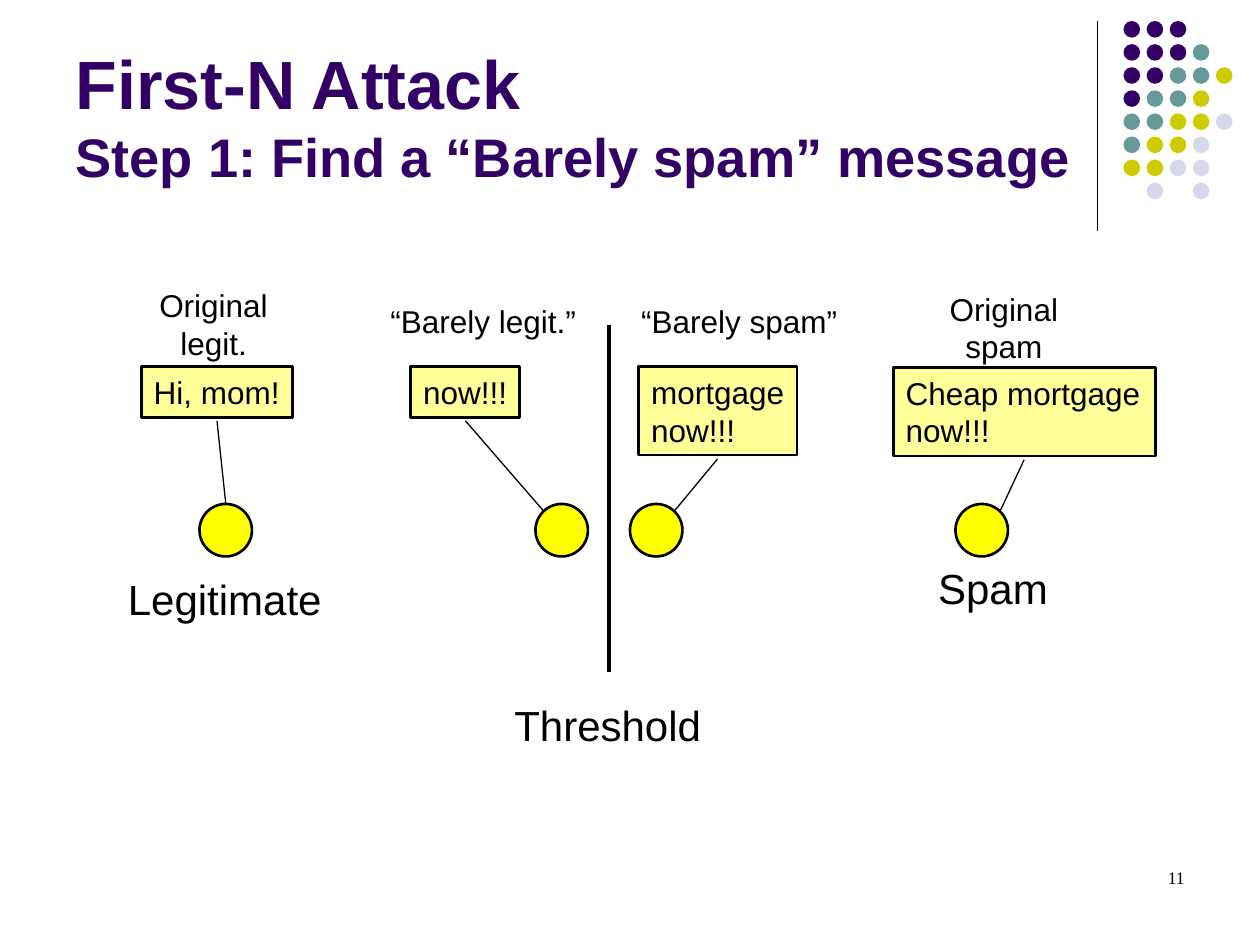
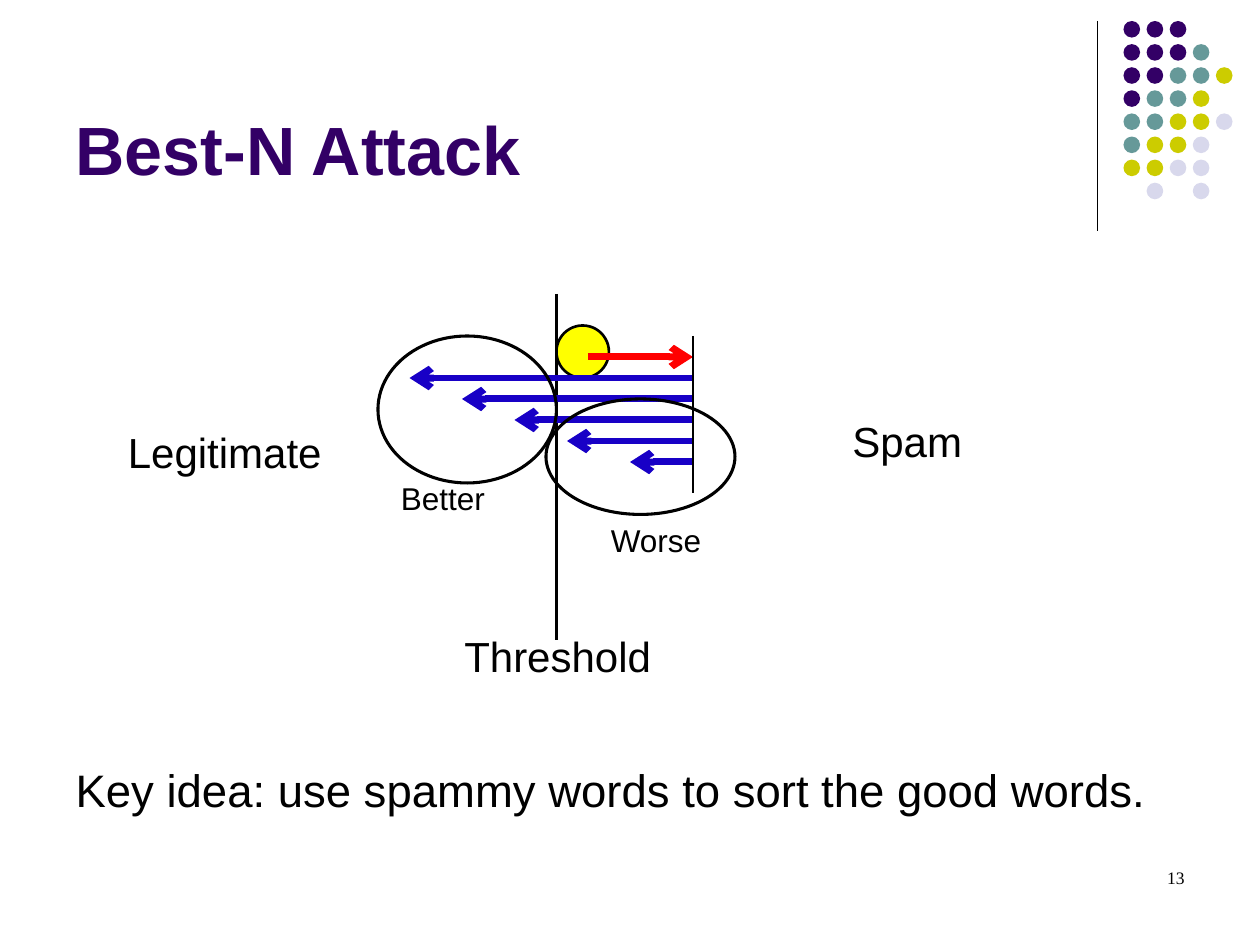
"""Builds two slides on the First-N and Best-N attacks against spam filters."""
from typing import NamedTuple

from lxml import etree
from pptx import Presentation
from pptx import util as u
from pptx.dml import color
from pptx.enum import shapes, text
from pptx.oxml import ns

COLORS = {
    "ink": "000000", "purple": "330066", "teal": "669999", "olive": "CCCC00",
    "lilac": "D8D8EC", "message": "FFFF99", "point": "FFFF00",
    "gain": "1800C6", "loss": "FF0000",
}
DOT_COLORS = {"P": "purple", "T": "teal", "O": "olive", "L": "lilac"}
DOT_ROWS = ("PPP", "PPPT", "PPTTO", "PTTO", "TTOOL", "TOOL", "OOLL", " L L")
DOT_LEFT, DOT_TOP, DOT_PITCH, DOT_SIZE = 642, 12, 13.2, 9.5
POINT_SIZE = 30
LEFT, CENTER, RIGHT = text.PP_ALIGN.LEFT, text.PP_ALIGN.CENTER, text.PP_ALIGN.RIGHT


class Box(NamedTuple):
    left: float
    top: float
    width: float
    height: float


class Label(NamedTuple):
    wording: str
    box: Box
    size: float = 18
    align: text.PP_ALIGN = LEFT
    font: str = "Arial"
    fill: str | None = None
    wrap: bool = False


class Line(NamedTuple):
    x1: float
    y1: float
    x2: float
    y2: float
    width: float = 0.75
    color: str = "ink"
    arrow: bool = False


class Oval(NamedTuple):
    box: Box
    fill: str | None = None
    border: float = 0


def rgb(name: str) -> color.RGBColor:
    return color.RGBColor.from_string(COLORS[name])


def place(shape, box: Box) -> None:
    shape.left, shape.top, shape.width, shape.height = map(u.Pt, box)


def style_runs(paragraph, size: float, ink: str = "ink", font: str = "Arial", bold: bool = False) -> None:
    for run in paragraph.runs:
        run.font.size, run.font.name, run.font.bold = u.Pt(size), font, bold
        run.font.color.rgb = rgb(ink)


def draw_label(slide, label: Label) -> None:
    box = slide.shapes.add_textbox(*map(u.Pt, label.box))
    frame = box.text_frame
    frame.text = label.wording
    frame.word_wrap = label.wrap
    frame.auto_size = text.MSO_AUTO_SIZE.SHAPE_TO_FIT_TEXT
    for paragraph in frame.paragraphs:
        paragraph.alignment = label.align
        style_runs(paragraph, label.size, font=label.font)
    if label.fill:
        box.fill.solid()
        box.fill.fore_color.rgb = rgb(label.fill)
        box.line.color.rgb = rgb("ink")
        box.line.width = u.Pt(1.5)


def draw_line(slide, line: Line) -> None:
    connector = slide.shapes.add_connector(
        shapes.MSO_CONNECTOR.STRAIGHT, *map(u.Pt, (line.x1, line.y1, line.x2, line.y2)))
    connector.line.color.rgb = rgb(line.color)
    connector.line.width = u.Pt(line.width)
    properties = connector._element.spPr
    if line.arrow:
        etree.SubElement(properties.get_or_add_ln(), ns.qn("a:tailEnd"), type="arrow")
    etree.SubElement(properties, ns.qn("a:effectLst"))


def draw_oval(slide, oval: Oval) -> None:
    shape = slide.shapes.add_shape(shapes.MSO_SHAPE.OVAL, *map(u.Pt, oval.box))
    shape.shadow.inherit = False
    if oval.fill:
        shape.fill.solid()
        shape.fill.fore_color.rgb = rgb(oval.fill)
    else:
        shape.fill.background()
    if oval.border:
        shape.line.color.rgb = rgb("ink")
        shape.line.width = u.Pt(oval.border)
    else:
        shape.line.fill.background()


def draw_point(slide, left: float, top: float) -> None:
    draw_oval(slide, Oval(Box(left, top, POINT_SIZE, POINT_SIZE), "point", 1.5))


def draw_axis_names(slide, legitimate_top: float, threshold: tuple, spam: tuple) -> None:
    draw_label(slide, Label("Legitimate", Box(66, legitimate_top, 125.3, 36), 24))
    draw_label(slide, Label("Threshold", Box(*threshold, 121, 36), 24))
    draw_label(slide, Label("Spam", Box(*spam, 77, 36), 24))


def draw_dots(slide) -> None:
    for row, codes in enumerate(DOT_ROWS):
        for column, code in enumerate(codes):
            if code in DOT_COLORS:
                box = Box(DOT_LEFT + column * DOT_PITCH, DOT_TOP + row * DOT_PITCH, DOT_SIZE, DOT_SIZE)
                draw_oval(slide, Oval(box, DOT_COLORS[code]))


def start_slide(deck, layout: int, heading: str, sizes: tuple, number: int):
    slide = deck.slides.add_slide(deck.slide_layouts[layout])
    draw_line(slide, Line(627, 12, 627, 132))
    draw_dots(slide)
    title = slide.shapes.title
    place(title, Box(36, 9.5, 594, 102))
    frame = title.text_frame
    frame.text = heading
    frame.auto_size = text.MSO_AUTO_SIZE.NONE
    frame.vertical_anchor = text.MSO_ANCHOR.BOTTOM
    paragraph = frame.paragraphs[0]
    paragraph.alignment = LEFT
    style_runs(paragraph, sizes[0], "purple", bold=True)
    for run, size in zip(paragraph.runs, sizes):
        run.font.size = u.Pt(size)
    for line_break in paragraph._p.findall(ns.qn("a:br")):
        etree.SubElement(line_break, ns.qn("a:rPr"), sz=str(sizes[0] * 100))
    draw_label(slide, Label(str(number), Box(516, 492, 168, 36), 10, RIGHT, "Times New Roman", wrap=True))
    return slide


def build_first_n(deck) -> None:
    slide = start_slide(deck, 5, "First-N Attack\vStep 1: Find a “Barely spam” message", (39, 31), 11)
    draw_line(slide, Line(348, 186, 348, 384, 2))
    draw_axis_names(slide, 324, (286.8, 396), (529, 318))
    for left in (114, 306, 360, 546):
        draw_point(slide, left, 288)
    for label in (
        Label("Original legit.", Box(77.8, 160, 88.5, 50.4), align=CENTER, wrap=True),
        Label("“Barely legit.”", Box(216, 169.2, 121, 29)),
        Label("“Barely spam”", Box(359.3, 169.2, 130, 29)),
        Label("Original\nspam", Box(535.5, 162, 76.3, 50.4), align=CENTER),
        Label("Hi, mom!", Box(80.8, 209.5, 86.5, 29), fill="message"),
        Label("now!!!", Box(234.7, 209.5, 62.3, 29), fill="message"),
        Label("mortgage\nnow!!!", Box(365, 209.5, 90.5, 50.6), fill="message"),
        Label("Cheap mortgage\nnow!!!", Box(510.5, 210, 150, 50.6), fill="message"),
    ):
        draw_label(slide, label)
    for pointer in (
        Line(124, 240.5, 129, 287.5),
        Line(310.3, 291.6, 266, 240.5),
        Line(385.7, 291.6, 410, 262.3),
        Line(585.2, 262.8, 571.7, 291.6),
    ):
        draw_line(slide, pointer)


def build_best_n(deck) -> None:
    slide = start_slide(deck, 1, "Best-N Attack", (39,), 13)
    key_idea = slide.placeholders[1]
    place(key_idea, Box(36, 432, 648, 50.4))
    key_idea.text_frame.text = "Key idea: use spammy words to sort the good words."
    key_idea.text_frame.auto_size = text.MSO_AUTO_SIZE.NONE
    paragraph = key_idea.text_frame.paragraphs[0]
    paragraph.space_before = u.Pt(6.5)
    style_runs(paragraph, 26)
    indents = paragraph._p.get_or_add_pPr()
    indents.set("marL", str(u.Pt(27)))
    indents.set("indent", str(-u.Pt(27)))
    etree.SubElement(indents, ns.qn("a:buNone"))

    draw_line(slide, Line(318, 168, 318, 366, 2))
    draw_point(slide, 318, 186)
    draw_axis_names(slide, 240, (258.2, 356.5), (480, 234))
    for row, tip in enumerate((234, 264, 294, 324, 360)):
        height = 216 + 12 * row
        draw_line(slide, Line(396, height, tip, height, 4, "gain", True))
    draw_line(slide, Line(336, 204, 396, 204, 4, "loss", True))
    draw_line(slide, Line(396, 192, 396, 282, 1.5))
    draw_oval(slide, Oval(Box(216, 192, 102, 84), border=1.75))
    draw_oval(slide, Oval(Box(312, 228, 108, 66), border=1.75))
    draw_label(slide, Label("Better", Box(222, 270, 62.3, 29)))
    draw_label(slide, Label("Worse", Box(342, 294, 66, 29)))


def main() -> None:
    deck = Presentation()
    deck.slide_width, deck.slide_height = u.Pt(720), u.Pt(540)
    build_first_n(deck)
    build_best_n(deck)
    deck.save("out.pptx")


if __name__ == "__main__":
    main()
